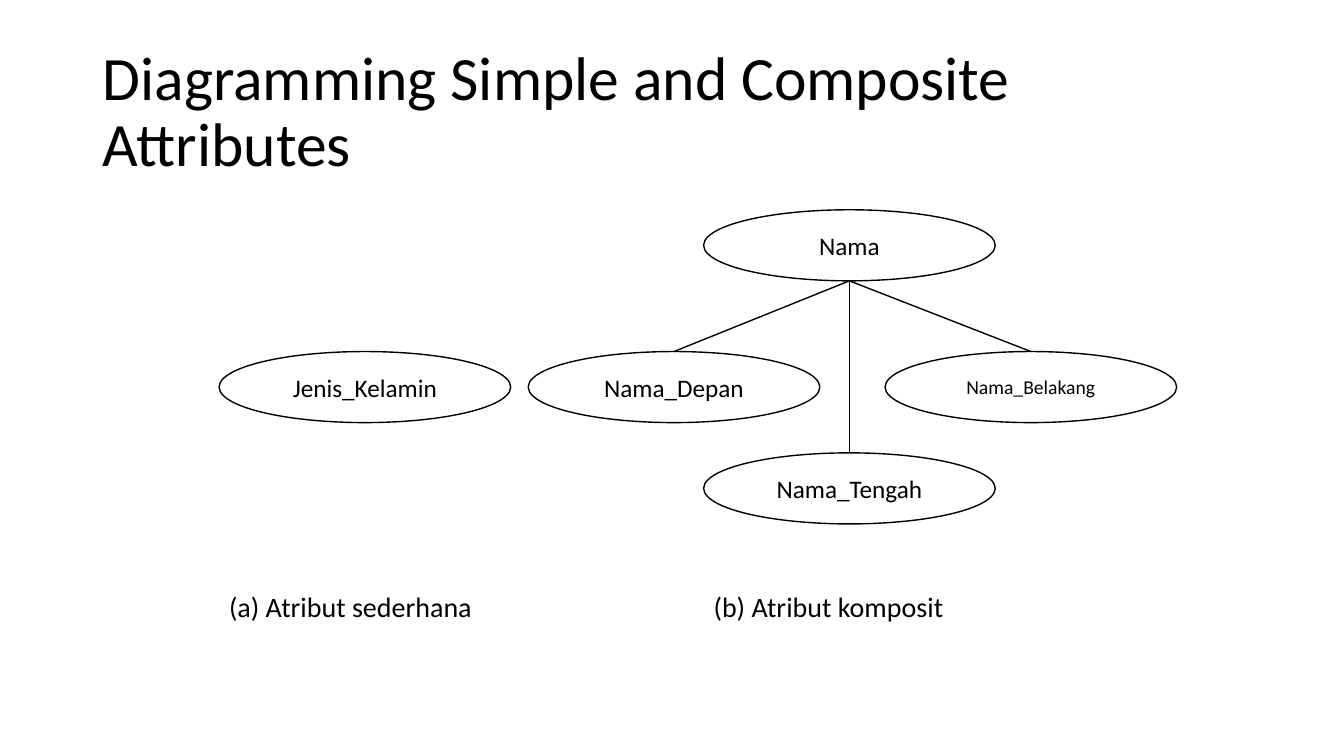
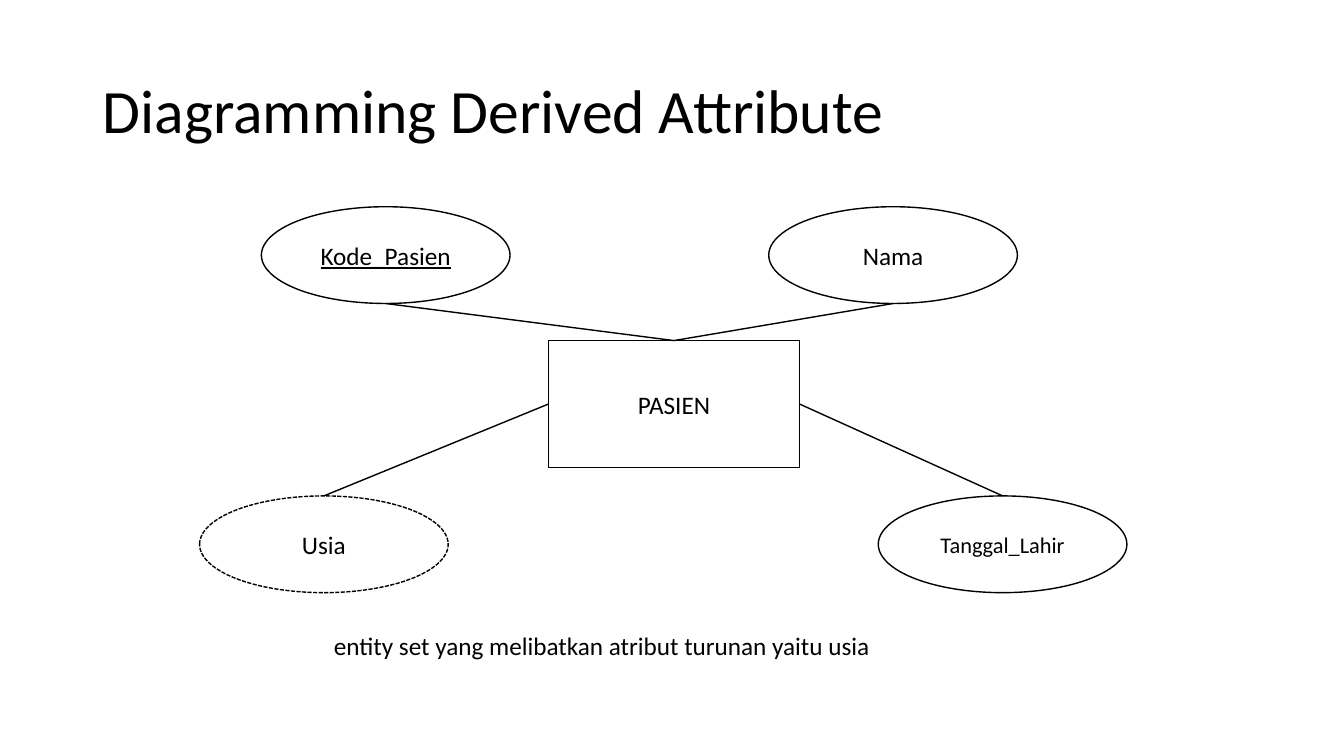
"""Build two slides that diagram simple, composite and derived attributes."""
from dataclasses import dataclass

from pptx import Presentation
from pptx.dml.color import RGBColor
from pptx.enum.dml import MSO_LINE
from pptx.enum.shapes import MSO_CONNECTOR, MSO_SHAPE
from pptx.enum.text import MSO_ANCHOR, MSO_AUTO_SIZE, PP_ALIGN
from pptx.oxml import parse_xml
from pptx.oxml.ns import nsdecls
from pptx.util import Inches, Pt

TOP, LEFT, BOTTOM, RIGHT = range(4)


@dataclass(frozen=True)
class Theme:
    font: str = "Calibri"
    ink: RGBColor = RGBColor(0, 0, 0)
    paper: RGBColor = RGBColor(255, 255, 255)
    line: float = 1
    title: int = 44
    caption: int = 20
    body: int = 18
    small: int = 16
    tiny: int = 14
    title_spacing: float = 0.9
    title_box: tuple = (6.9, 5.33, 86.25, 19.33)


class Deck:
    def __init__(self, theme):
        self.theme = theme
        self.prs = Presentation()
        self.prs.slide_width, self.prs.slide_height = Inches(13.33), Inches(7.5)
        self.slide = None

    def grid(self, x, y, w, h):
        col, row = self.prs.slide_width / 100, self.prs.slide_height / 100
        return [round(v) for v in (x * col, y * row, w * col, h * row)]

    def label(self, sp, text, size, underline=None):
        p = sp.text_frame.paragraphs[0]
        p.text = text
        f = p.runs[0].font
        f.name, f.size, f.underline = self.theme.font, Pt(size), underline
        f.color.rgb = self.theme.ink
        return p

    def outline(self, line):
        line.color.rgb = self.theme.ink
        line.width = Pt(self.theme.line)

    def new_slide(self, title):
        self.slide = self.prs.slides.add_slide(self.prs.slide_layouts[6])
        sp = self.slide.shapes.add_textbox(*self.grid(*self.theme.title_box))
        sp.text_frame.word_wrap = True
        sp.text_frame.vertical_anchor = MSO_ANCHOR.MIDDLE
        p = self.label(sp, title, self.theme.title)
        p.line_spacing = self.theme.title_spacing

    def node(self, kind, box, text, size, underline=None, dash=None):
        sp = self.slide.shapes.add_shape(kind, *self.grid(*box))
        sp.shadow.inherit = False
        sp.fill.solid()
        sp.fill.fore_color.rgb = self.theme.paper
        self.outline(sp.line)
        if dash:
            sp.line.dash_style = dash
        sp.text_frame.vertical_anchor = MSO_ANCHOR.MIDDLE
        p = self.label(sp, text, size, underline)
        p.alignment = PP_ALIGN.CENTER
        return sp

    def attribute(self, box, text, size=None, **style):
        return self.node(MSO_SHAPE.OVAL, box, text, size or self.theme.body, **style)

    def entity(self, box, text):
        return self.node(MSO_SHAPE.RECTANGLE, box, text, self.theme.body)

    def link(self, start, start_side, end, end_side):
        ends = [self.side(start, start_side), self.side(end, end_side)]
        c = self.slide.shapes.add_connector(MSO_CONNECTOR.STRAIGHT, *ends[0], *ends[1])
        for sp, side, connect in ((start, start_side, c.begin_connect),
                                  (end, end_side, c.end_connect)):
            if side == TOP or sp.auto_shape_type == MSO_SHAPE.RECTANGLE:
                connect(sp, side)
        self.outline(c.line)
        c._element.spPr.append(parse_xml(f"<a:effectLst {nsdecls('a')}/>"))

    @staticmethod
    def side(sp, side):
        dx, dy = {TOP: (1, 0), LEFT: (0, 1), BOTTOM: (1, 2), RIGHT: (2, 1)}[side]
        return sp.left + sp.width * dx // 2, sp.top + sp.height * dy // 2

    def caption(self, box, text, size):
        sp = self.slide.shapes.add_textbox(*self.grid(*box))
        sp.text_frame.word_wrap = True
        sp.text_frame.auto_size = MSO_AUTO_SIZE.SHAPE_TO_FIT_TEXT
        self.label(sp, text, size)


def composite_slide(deck):
    t = deck.theme
    w, h = 21.7, 9.4
    simple_x, composite_x = 16.3, 52.35
    top_y, middle_y, bottom_y = 27.75, 46.5, 59.9
    deck.new_slide("Diagramming Simple and Composite Attributes")
    name = deck.attribute((composite_x, top_y, w, h), "Nama")
    deck.attribute((simple_x, middle_y, w, h), "Jenis_Kelamin")
    parts = [
        deck.attribute((x, y, w, h), text, size)
        for x, y, text, size in (
            (39.3, middle_y, "Nama_Depan", t.body),
            (65.85, middle_y, "Nama_Belakang", t.tiny),
            (composite_x, bottom_y, "Nama_Tengah", t.body),
        )
    ]
    for part in parts:
        deck.link(name, BOTTOM, part, TOP)
    for x, text in ((simple_x, "(a) Atribut sederhana"),
                    (composite_x, "(b) Atribut komposit")):
        deck.caption((x, 77.35, w, 5.85), text, t.caption)


def derived_slide(deck):
    t = deck.theme
    w, h = 18.5, 12.8
    top_y, bottom_y = 27.35, 65.6
    deck.new_slide("Diagramming Derived Attribute")
    patient = deck.entity((40.8, 45.05, 18.7, 16.8), "PASIEN")
    code = deck.attribute((19.45, top_y, w, h), "Kode_Pasien", underline=True)
    age = deck.attribute((14.85, bottom_y, w, h), "Usia", dash=MSO_LINE.SQUARE_DOT)
    name = deck.attribute((57.2, top_y, w, h), "Nama")
    birth = deck.attribute((65.35, bottom_y, w, h), "Tanggal_Lahir", t.small)
    for side, sp, end in ((LEFT, age, TOP), (RIGHT, birth, TOP),
                          (TOP, code, BOTTOM), (TOP, name, BOTTOM)):
        deck.link(patient, side, sp, end)
    deck.caption((24.1, 82.65, 51.7, 5.35),
                 "entity set yang melibatkan atribut turunan yaitu usia", t.body)


def main():
    deck = Deck(Theme())
    composite_slide(deck)
    derived_slide(deck)
    deck.prs.save("out.pptx")


if __name__ == "__main__":
    main()
